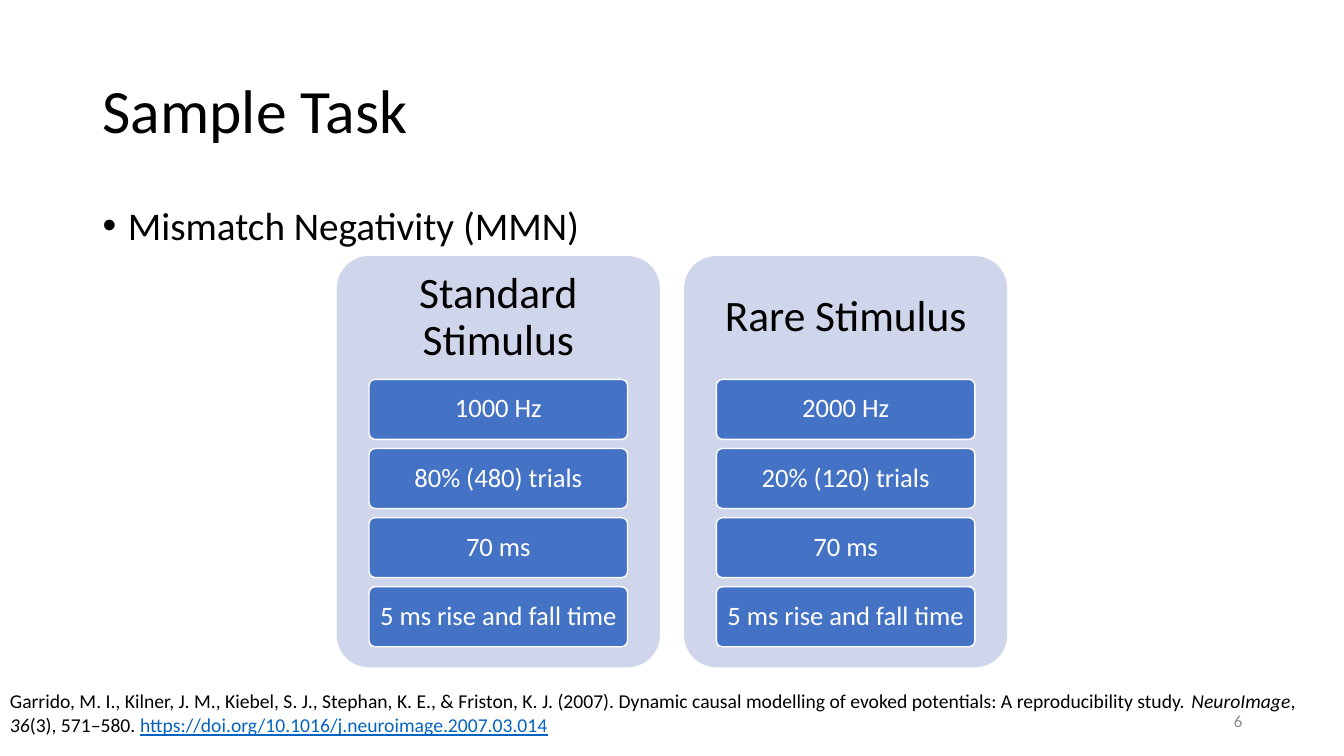
from dataclasses import dataclass

import lxml.etree
import pptx
import pptx.dml.color
import pptx.enum.shapes
import pptx.enum.text
import pptx.oxml.ns
import pptx.util

ALIGN = pptx.enum.text.PP_ALIGN
ANCHOR = pptx.enum.text.MSO_ANCHOR


@dataclass(frozen=True)
class Theme:
    font: str = "Calibri"
    ink: str = "000000"
    white: str = "FFFFFF"
    muted: str = "8C8C8C"
    link: str = "0563C1"
    panel: str = "CFD5EA"
    bar: str = "4472C4"
    title: int = 44
    heading: int = 31
    body: int = 28
    label: int = 19
    citation: int = 14
    number: int = 12


THEME = Theme()


@dataclass(frozen=True)
class Box:
    left: float
    top: float
    width: float
    height: float

    def inner(self, x, y, w, h):
        """Box at the given shares of this one."""
        return Box(self.left + x * self.width, self.top + y * self.height,
                   w * self.width, h * self.height)

    def inches(self):
        return [pptx.util.Inches(n) for n in (self.left, self.top, self.width, self.height)]


STIMULI = {
    "Standard Stimulus": ["1000 Hz", "80% (480) trials", "70 ms", "5 ms rise and fall time"],
    "Rare Stimulus": ["2000 Hz", "20% (120) trials", "70 ms", "5 ms rise and fall time"],
}
CITATION = [
    ("Garrido, M. I., Kilner, J. M., Kiebel, S. J., Stephan, K. E., & Friston, K. J. (2007). "
     "Dynamic causal modelling of evoked potentials: A reproducibility study. ", "plain"),
    ("NeuroImage", "italic"),
    (", ", "plain"),
    ("36", "italic"),
    ("(3), 571–580. ", "plain"),
    ("https://doi.org/10.1016/j.neuroimage.2007.03.014", "link"),
]


def rgb(code):
    return pptx.dml.color.RGBColor.from_string(code)


def write(shape, text, size, color=THEME.ink, align=ALIGN.LEFT, anchor=ANCHOR.MIDDLE,
          spacing=0.9, inset=None):
    frame = shape.text_frame
    frame.word_wrap = True
    frame.vertical_anchor = anchor
    if inset is not None:
        frame.margin_left = frame.margin_right = pptx.util.Inches(inset)
        frame.margin_top = frame.margin_bottom = pptx.util.Inches(inset)
    para = frame.paragraphs[0]
    para.text = text
    para.alignment = align
    para.line_spacing = spacing
    para.font.name = THEME.font
    para.font.size = pptx.util.Pt(size)
    para.font.color.rgb = rgb(color)
    return para


def add_text(page, box, text, size, **style):
    return write(page.shapes.add_textbox(*box.inches()), text, size, **style)


def add_rounded(page, box, fill):
    shape = page.shapes.add_shape(
        pptx.enum.shapes.MSO_SHAPE.ROUNDED_RECTANGLE, *box.inches())
    shape.adjustments[0] = 0.1
    shape.shadow.inherit = False
    shape.fill.solid()
    shape.fill.fore_color.rgb = rgb(fill)
    shape.line.fill.background()
    return shape


def add_bullet(page, box, text):
    para = add_text(page, box, text, THEME.body, anchor=ANCHOR.TOP)
    para.space_before = pptx.util.Pt(10)
    props = para._p.get_or_add_pPr()
    indent = pptx.util.Inches(0.25)
    props.set("marL", str(indent))
    props.set("indent", str(-indent))
    font = lxml.etree.Element(pptx.oxml.ns.qn("a:buFont"), typeface="Arial")
    mark = lxml.etree.Element(pptx.oxml.ns.qn("a:buChar"), char="•")
    defaults = props.find(pptx.oxml.ns.qn("a:defRPr"))
    defaults.addprevious(font)
    defaults.addprevious(mark)


def add_stimulus(page, box, heading, facts):
    add_rounded(page, box, THEME.panel)
    add_text(page, box.inner(0, 0, 1, 0.3), heading, THEME.heading,
             align=ALIGN.CENTER, inset=0.13)
    # Bars share 65% of the panel; each gap is 2/13 of a bar
    gap_share = 2 / 13
    height = 0.65 / (len(facts) + (len(facts) - 1) * gap_share)
    for row, fact in enumerate(facts):
        top = 0.3 + row * height * (1 + gap_share)
        bar = add_rounded(page, box.inner(0.1, top, 0.8, height), THEME.bar)
        bar.line.color.rgb = rgb(THEME.white)
        bar.line.width = pptx.util.Pt(1)
        write(bar, fact, THEME.label, THEME.white, ALIGN.CENTER, inset=0.05)


def add_comparison(page, box, stimuli):
    gap_share = 0.075
    width = 1 / (len(stimuli) + (len(stimuli) - 1) * gap_share)
    for column, (heading, facts) in enumerate(stimuli.items()):
        panel = box.inner(column * width * (1 + gap_share), 0, width, 1)
        add_stimulus(page, panel, heading, facts)


def add_citation(page, box, pieces):
    para = add_text(page, box, "", THEME.citation, anchor=ANCHOR.TOP, spacing=1.0)
    for text, style in pieces:
        span = para.add_run()
        span.text = text
        if style == "italic":
            span.font.italic = True
        elif style == "link":
            span.font.underline = True
            span.font.color.rgb = rgb(THEME.link)


def build_task_slide(page):
    # Title and topic
    add_text(page, Box(0.92, 0.4, 11.5, 1.45), "Sample Task", THEME.title)
    add_bullet(page, Box(0.92, 2, 11.5, 4.76), "Mismatch Negativity (MMN)")
    # Reference
    add_citation(page, Box(0, 6.79, 13.33, 0.57), CITATION)
    # Stimulus panels
    add_comparison(page, Box(3.34, 2.54, 6.65, 4.08), STIMULI)
    # Page number
    add_text(page, Box(9.42, 6.95, 3, 0.4), "6", THEME.number,
             color=THEME.muted, align=ALIGN.RIGHT, spacing=1.0)


def main():
    deck = pptx.Presentation()
    deck.slide_width = pptx.util.Inches(13.33)
    deck.slide_height = pptx.util.Inches(7.5)
    build_task_slide(deck.slides.add_slide(deck.slide_layouts[6]))
    deck.save("out.pptx")


if __name__ == "__main__":
    main()
